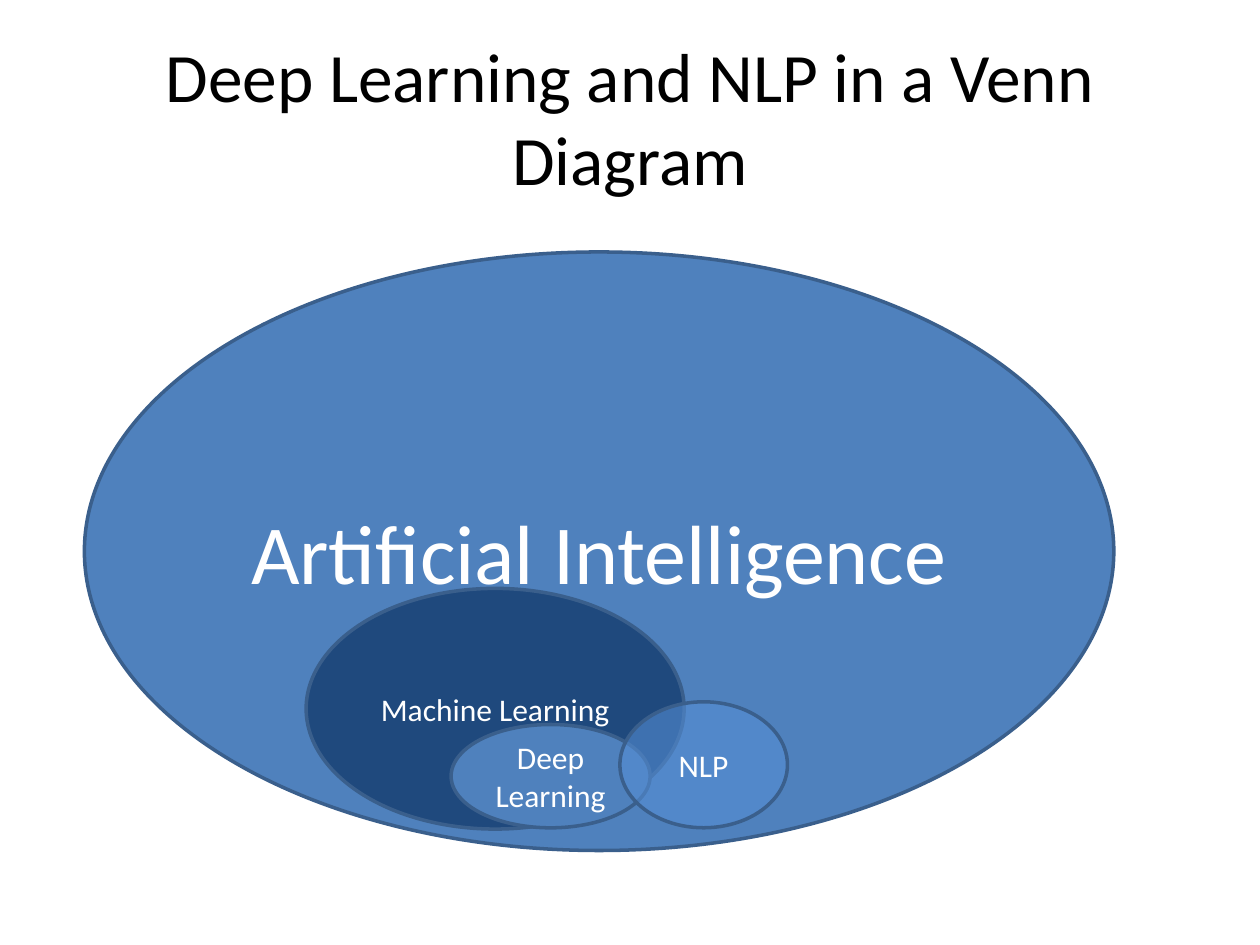
from lxml import etree
from pptx import Presentation
from pptx.dml.color import RGBColor
from pptx.enum import shapes, text
from pptx.oxml.ns import qn
from pptx.util import Inches, Pt

FONT = "Calibri"
COLORS = {
    "title": "000000",
    "label": "FFFFFF",
    "outline": "3A5F8C",
    "blue": "4F81BD",
    "navy": "1F497D",
    "sky": "558ED5",
}

TITLE = ("Deep Learning and NLP in a Venn Diagram", (0.5, 0.3, 9, 1.25), 39.6)

# label, (left, top, width, height), text size, fill, opacity in percent
FIELDS = [
    ("Artificial Intelligence", (0.67, 2, 8.17, 4.75), 48, "blue", 100),
    ("Machine Learning", (2.43, 4.67, 3, 1.91), 18, "navy", 100),
    ("Deep Learning", (3.58, 5.75, 1.58, 0.82), 18, "blue", 100),
    ("NLP", (4.92, 5.57, 1.33, 1), 18, "sky", 58),
]


def color(name):
    return RGBColor.from_string(COLORS[name])


def write_centred(box, words, size, color_name):
    frame = box.text_frame
    frame.word_wrap = True
    frame.vertical_anchor = text.MSO_ANCHOR.MIDDLE
    para = frame.paragraphs[0]
    para.alignment = text.PP_ALIGN.CENTER
    span = para.add_run()
    span.text = words
    span.font.name = FONT
    span.font.size = Pt(size)
    span.font.color.rgb = color(color_name)


def set_opacity(shape, percent):
    tint = shape._element.spPr.find(qn("a:solidFill"))[0]
    etree.SubElement(tint, qn("a:alpha")).set("val", str(percent * 1000))


def add_field(page, label, place, size, fill, opacity):
    ellipse = page.shapes.add_shape(shapes.MSO_SHAPE.OVAL, *map(Inches, place))
    ellipse.shadow.inherit = False
    ellipse.fill.solid()
    ellipse.fill.fore_color.rgb = color(fill)
    if opacity < 100:
        set_opacity(ellipse, opacity)
    ellipse.line.color.rgb = color("outline")
    ellipse.line.width = Pt(2)
    write_centred(ellipse, label, size, "label")


def main():
    deck = Presentation()
    deck.slide_width, deck.slide_height = Inches(10), Inches(7.5)
    page = deck.slides.add_slide(deck.slide_layouts[6])

    words, place, size = TITLE
    write_centred(page.shapes.add_textbox(*map(Inches, place)), words, size, "title")
    for field in FIELDS:
        add_field(page, *field)

    deck.save("out.pptx")


if __name__ == "__main__":
    main()
